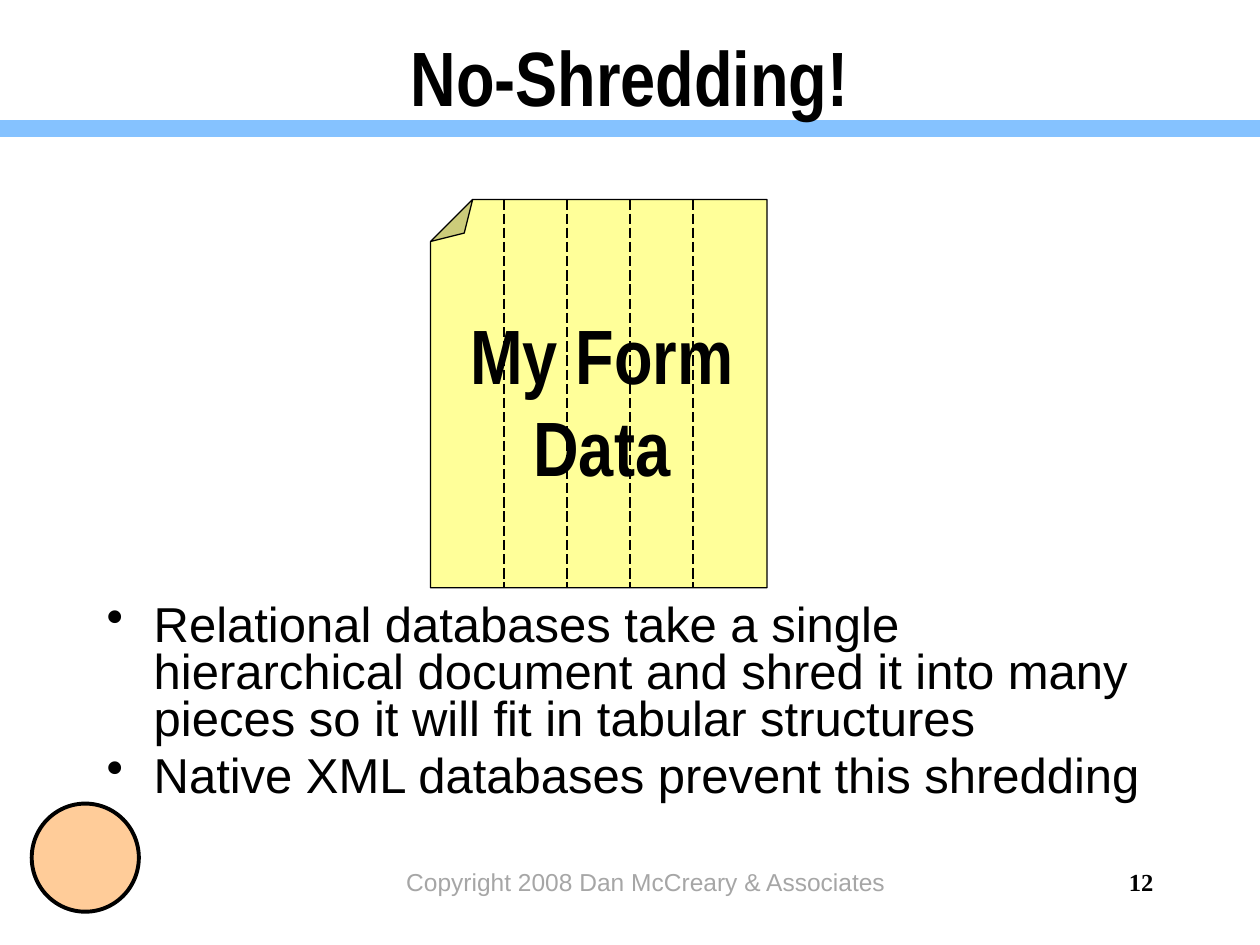
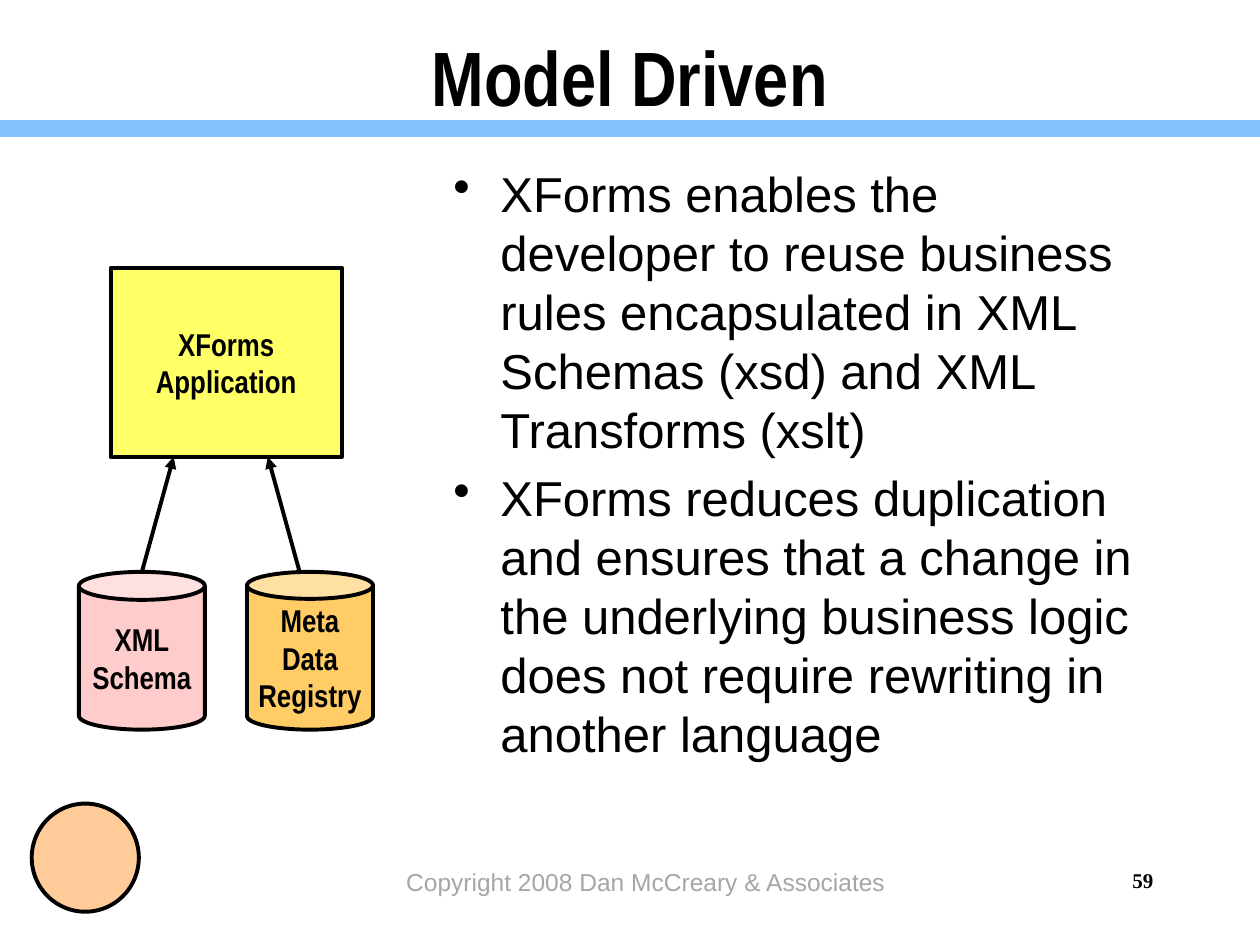
from pptx import Presentation
from pptx.dml.color import RGBColor
from pptx.enum.dml import MSO_LINE
from pptx.enum.shapes import MSO_CONNECTOR, MSO_SHAPE
from pptx.enum.text import MSO_ANCHOR, PP_ALIGN
from pptx.oxml.ns import qn
from pptx.util import Cm, Pt
from lxml import etree

BLACK = RGBColor(0x00, 0x00, 0x00)
GREY = RGBColor(0xA6, 0xA6, 0xA6)
BAND_BLUE = RGBColor(0x85, 0xC2, 0xFF)
PEACH = RGBColor(0xFF, 0xCC, 0x99)
PAPER = RGBColor(0xFF, 0xFF, 0x99)
YELLOW = RGBColor(0xFF, 0xFF, 0x66)
PINK = RGBColor(0xFF, 0xCC, 0xCC)
ORANGE = RGBColor(0xFF, 0xCC, 0x66)

SANS, NARROW, SERIF = "Arial", "Arial Narrow", "Times New Roman"
LEFT, CENTER, RIGHT = PP_ALIGN.LEFT, PP_ALIGN.CENTER, PP_ALIGN.RIGHT
TOP, MIDDLE = MSO_ANCHOR.TOP, MSO_ANCHOR.MIDDLE
STRAIGHT, DASHED = MSO_CONNECTOR.STRAIGHT, MSO_LINE.LONG_DASH
RECTANGLE, OVAL = MSO_SHAPE.RECTANGLE, MSO_SHAPE.OVAL
CAN, FOLDED_PAPER = MSO_SHAPE.CAN, MSO_SHAPE.FOLDED_CORNER

WIDTH, HEIGHT = 25.4, 19.05
BULLET_INDENT = 0.95
MARGIN = 1.9


def write(frame, paragraphs, font=SANS, size=28, color=BLACK, bold=False,
          align=LEFT, anchor=TOP, wrap=True, bullet=False, spacing=None, gap=0):
    """Fill a text frame with paragraphs in one format."""
    frame.word_wrap = wrap
    frame.vertical_anchor = anchor
    for index, text in enumerate(paragraphs):
        paragraph = frame.add_paragraph() if index else frame.paragraphs[0]
        if bullet:
            properties = paragraph._p.get_or_add_pPr()
            properties.set("marL", str(Cm(BULLET_INDENT)))
            properties.set("indent", str(-Cm(BULLET_INDENT)))
            etree.SubElement(properties, qn("a:buChar"), char="•")
        paragraph.alignment = align
        if spacing:
            paragraph.line_spacing = spacing
        if index and gap:
            paragraph.space_before = Pt(gap)
        run = paragraph.add_run()
        run.text = text
        run.font.name, run.font.size, run.font.bold = font, Pt(size), bold
        run.font.color.rgb = color


def add_text(slide, box, paragraphs, **text_format):
    label = slide.shapes.add_textbox(*map(Cm, box))
    write(label.text_frame, paragraphs, **text_format)


def add_block(slide, kind, box, fill, line_width, paragraphs=(), adjust=None):
    block = slide.shapes.add_shape(kind, *map(Cm, box))
    block.shadow.inherit = False
    block.fill.solid()
    block.fill.fore_color.rgb = fill
    block.line.color.rgb = BLACK
    block.line.width = Pt(line_width)
    if adjust is not None:
        geometry = block._element.spPr.find(qn("a:prstGeom"))
        for guides in geometry.findall(qn("a:avLst")):
            geometry.remove(guides)
        guides = etree.SubElement(geometry, qn("a:avLst"))
        etree.SubElement(guides, qn("a:gd"), name="adj",
                         fmla=f"val {round(adjust * 100000)}")
    write(block.text_frame, paragraphs, font=NARROW, size=18, bold=True,
          align=CENTER, anchor=MIDDLE, wrap=False)
    return block


def add_line(slide, start, end, width, color=BLACK, dash=None, arrow=False):
    line = slide.shapes.add_connector(STRAIGHT, *map(Cm, (*start, *end)))
    line.line.color.rgb = color
    line.line.width = Pt(width)
    if dash:
        line.line.dash_style = dash
    if arrow:
        etree.SubElement(line.line._get_or_add_ln(), qn("a:tailEnd"), type="triangle")
    etree.SubElement(line._element.spPr, qn("a:effectLst"))


def add_base(deck, title, number, number_size):
    """Slide with the shared band, corner mark, footer and title."""
    slide = deck.slides.add_slide(deck.slide_layouts[6])
    add_block(slide, OVAL, (0.64, 16.2, 2.16, 2.18), PEACH, 2.25)
    add_line(slide, (0, 2.59), (WIDTH, 2.59), 10, color=BAND_BLUE)
    add_text(slide, (7.2, 17.36, 11.64, 1.27),
             ["Copyright 2008 Dan McCreary & Associates"],
             size=14, color=GREY, align=CENTER)
    add_text(slide, (18.2, 17.36, 5.3, 1.27), [number], font=SERIF,
             size=number_size, bold=True, align=RIGHT)
    add_text(slide, (MARGIN, 0.3, WIDTH - 2 * MARGIN, 2.45), [title], font=NARROW,
             size=44, bold=True, align=CENTER, anchor=MIDDLE)
    return slide


def add_shredded_form(slide, box):
    """Paper form cut into vertical strips by dashed lines."""
    left, top, width, height = box
    paper = add_block(slide, FOLDED_PAPER, box, PAPER, 0.75, adjust=0.125)
    paper.rotation = 180
    for cut in range(4):
        x = left + 1.48 + cut * 1.27
        add_line(slide, (x, top), (x, top + height), 0.75, dash=DASHED)
    add_text(slide, (left + 0.52, top + 2.03, 5.87, 4.02), ["My Form", "Data"],
             font=NARROW, size=44, bold=True, align=CENTER, anchor=MIDDLE, wrap=False)


def add_model_diagram(slide, box):
    """Two stores feeding the application above them."""
    left, top, width, height = box
    can_width, can_height = 2.54, 3.18
    can_top = top + height - can_height
    stores = [
        (left, PINK, ["XML", "Schema"], 0.222),
        (left + width - can_width, ORANGE, ["Meta", "Data", "Registry"], 0.214),
    ]
    for x, fill, name, rim in stores:
        add_block(slide, CAN, (x, can_top, can_width, can_height), fill, 2.25, name, rim)

    app_left, app_height = left + 0.64, 3.81
    add_block(slide, RECTANGLE, (app_left, top, 4.66, app_height), YELLOW, 2.25,
              ["XForms", "Application"])

    # Arrows from the stores to the application
    app_bottom = top + app_height
    for start, end in ((1.27, 1.91), (4.45, 3.81)):
        add_line(slide, (left + start, can_top), (left + end, app_bottom), 2.25, arrow=True)


def build_shredding(deck):
    slide = add_base(deck, "No-Shredding!", "12", 14)
    add_text(slide, (MARGIN, 12.07, WIDTH - 2 * MARGIN, 4.27), [
        "Relational databases take a single hierarchical document and shred it "
        "into many pieces so it will fit in tabular structures",
        "Native XML databases prevent this shredding",
    ], bullet=True, spacing=0.8, gap=5.6)
    add_shredded_form(slide, (8.68, 4.02, 6.78, 7.83))


def build_model_driven(deck):
    slide = add_base(deck, "Model Driven", "59", 12)
    add_text(slide, (8.89, 3.18, 14.6, 13.97), [
        "XForms enables the developer to reuse business rules encapsulated in "
        "XML Schemas (xsd) and XML Transforms (xslt)",
        "XForms reduces duplication and ensures that a change in the underlying "
        "business logic does not require rewriting in another language",
    ], bullet=True, gap=5.6)
    add_model_diagram(slide, (1.59, 5.4, 5.93, 9.31))


def main():
    deck = Presentation()
    deck.slide_width, deck.slide_height = Cm(WIDTH), Cm(HEIGHT)
    build_shredding(deck)
    build_model_driven(deck)
    deck.save("out.pptx")


if __name__ == "__main__":
    main()
